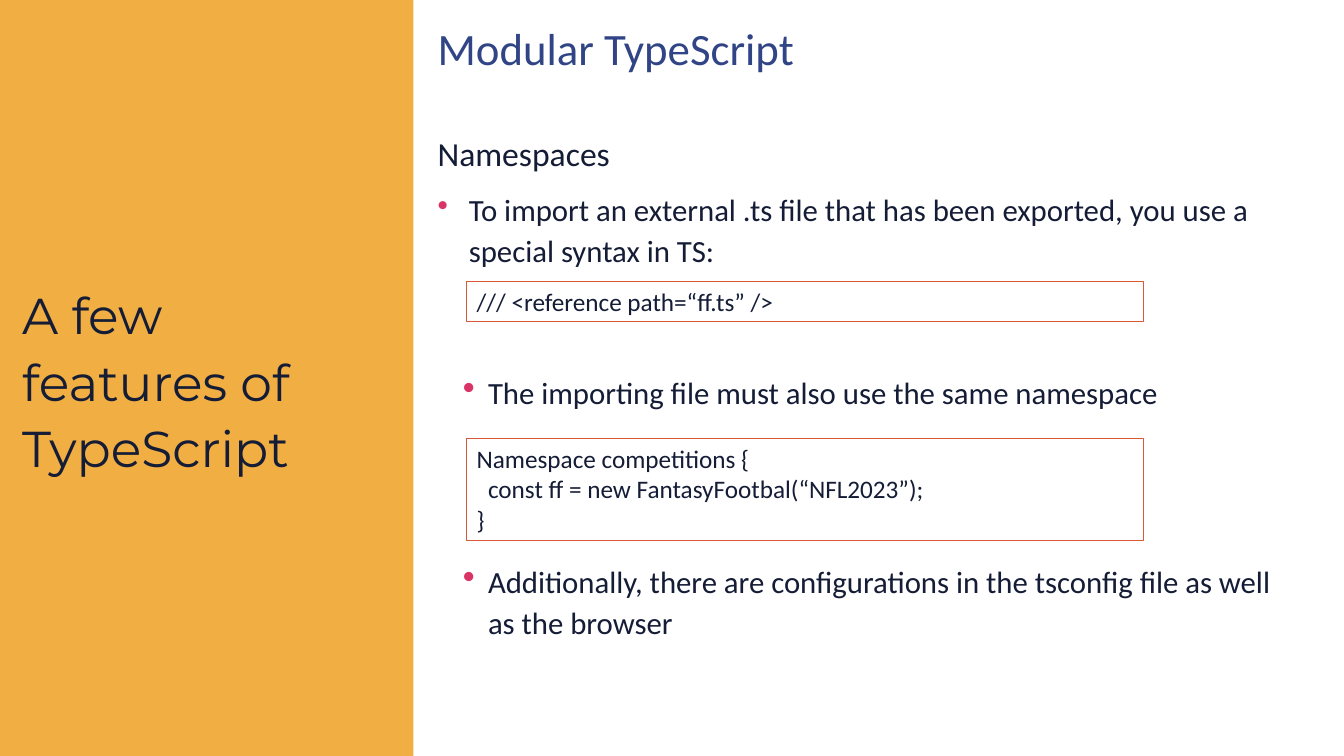
import pptx
import pptx.util
import pptx.dml.color
import pptx.enum.shapes
import pptx.enum.text
import lxml.etree

Pt = pptx.util.Pt
Inches = pptx.util.Inches
hues = {"band": "F0AE43", "ink": "141C36", "head": "314586",
        "dot": "DA3467", "edge": "DA5835"}
deck = pptx.Presentation()
deck.slide_width = Inches(13.33)
deck.slide_height = Inches(7.5)
slide = deck.slides.add_slide(deck.slide_layouts[6])
col = deck.slide_width / 100
row = deck.slide_height / 100
rect = pptx.enum.shapes.MSO_SHAPE.RECTANGLE


def tint(name):
    return pptx.dml.color.RGBColor.from_string(hues[name])


def place(add, left, top, wide, high, *kind):
    return add(*kind, round(left * col), round(top * row),
               round(wide * col), round(high * row))


band = place(slide.shapes.add_shape, 0, 0, 30.76, 100, rect)
band.shadow.inherit = False
band.fill.solid()
band.fill.fore_color.rgb = tint("band")
band.line.fill.background()

texts = [
    ((1.65, 30.4, 26.26, 39.2), "Montserrat", "ink", "MIDDLE",
     [("A few features of TypeScript", 36, 0, 0, 0)]),
    ((32.56, 2, 48.54, 8.27), "Calibri", "head", "TOP",
     [("Modular TypeScript", 32, 0, 0, 0)]),
    ((32.56, 17.07, 63.02, 72.4), "Calibri", "ink", "TOP",
     [("Namespaces", 24, 0, 0, 0),
      ("To import an external .ts file that has been exported, you use a "
       "special syntax in TS:", 22, 10, 0.31, 0.31),
      ("The importing file must also use the same namespace",
       22, 72.5, 0.5, 0.25),
      ("Additionally, there are configurations in the tsconfig file as well "
       "as the browser", 22, 106, 0.5, 0.25)]),
]
for spot, font, hue, anchor, lines in texts:
    frame = place(slide.shapes.add_textbox, *spot).text_frame
    frame.word_wrap = True
    frame.vertical_anchor = pptx.enum.text.MSO_ANCHOR[anchor]
    frame.margin_left = frame.margin_right = 0
    frame.margin_top = frame.margin_bottom = 0
    frame.text = "\n".join(line[0] for line in lines)
    for para, (words, size, gap, left, hang) in zip(frame.paragraphs, lines):
        para.line_spacing = 1.1
        para.space_before = Pt(gap)
        if hang:
            props = para._p.get_or_add_pPr()
            props.set("marL", str(Inches(left)))
            props.set("indent", str(-Inches(hang)))
            space = "{" + props.nsmap["a"] + "}"
            paint = lxml.etree.SubElement(props, space + "buClr")
            lxml.etree.SubElement(paint, space + "srgbClr", val=hues["dot"])
            scale = "115000" if left > hang else "100000"
            lxml.etree.SubElement(props, space + "buSzPct", val=scale)
            lxml.etree.SubElement(props, space + "buChar", char="•")
        for run in para.runs:
            run.font.name = font
            run.font.size = Pt(size)
            run.font.color.rgb = tint(hue)

codes = [
    (37.2, 5.33, "/// <reference path=“ff.ts” />"),
    (58, 13.47, "Namespace competitions {\n"
     "  const ff = new FantasyFootbal(“NFL2023”);\n}"),
]
for top, high, code in codes:
    box = place(slide.shapes.add_shape, 34.73, top, 50.34, high, rect)
    box.shadow.inherit = False
    box.fill.background()
    box.line.color.rgb = tint("edge")
    box.line.width = Pt(0.75)
    frame = box.text_frame
    frame.word_wrap = True
    frame.vertical_anchor = pptx.enum.text.MSO_ANCHOR.TOP
    frame.text = code
    for para in frame.paragraphs:
        para.alignment = pptx.enum.text.PP_ALIGN.LEFT
        for run in para.runs:
            run.font.name = "Calibri"
            run.font.size = Pt(18)
            run.font.color.rgb = tint("ink")

deck.save("out.pptx")
